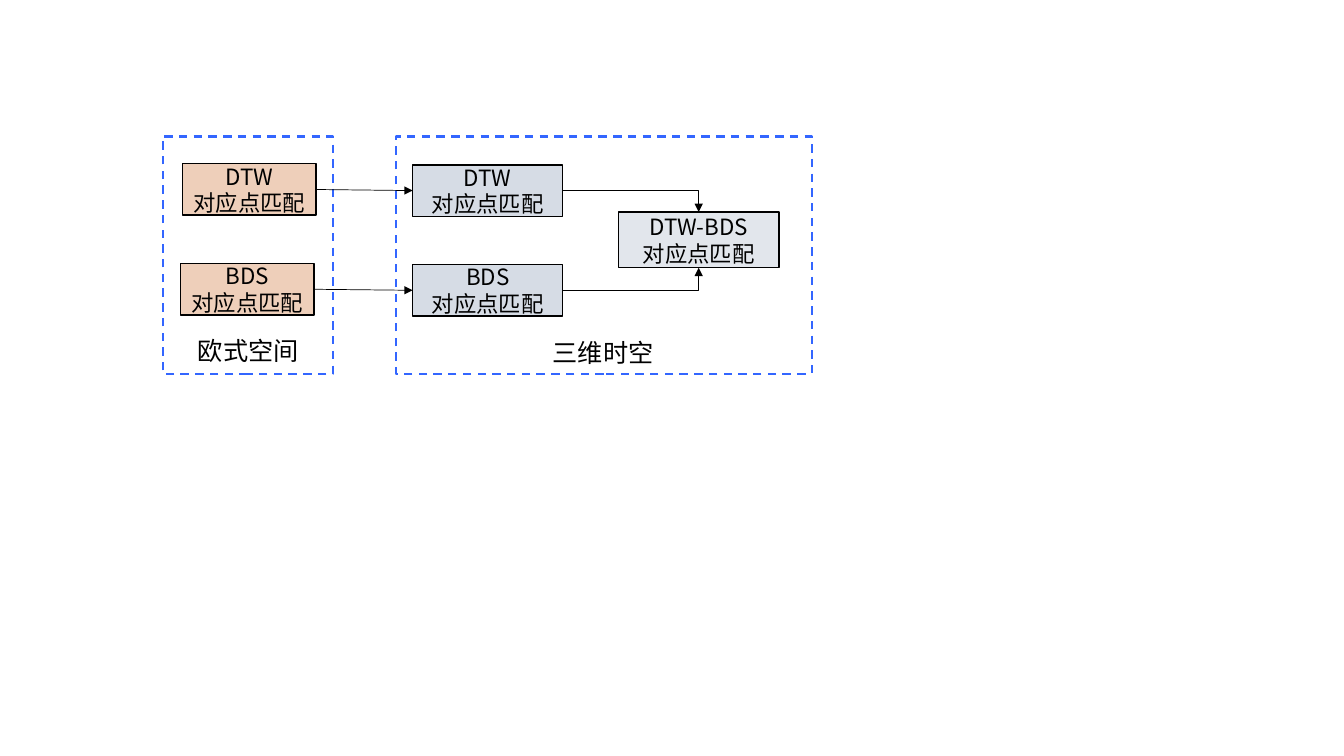
"""Build a slide showing how DTW and BDS point matching merge into DTW-BDS."""
from lxml.etree import SubElement
from pptx import Presentation
from pptx.dml.color import RGBColor
from pptx.enum.dml import MSO_LINE as DASH
from pptx.enum.shapes import MSO_CONNECTOR as LINK, MSO_SHAPE as SHAPE
from pptx.enum.text import MSO_ANCHOR as ANCHOR, PP_ALIGN as ALIGN
from pptx.oxml.ns import qn
from pptx.util import Pt

PX = 9525
FONT = "Noto Sans CJK SC"
TOP, BOTTOM, LEFT, RIGHT = 0, 2, 1, 3


def color(code):
    return RGBColor.from_string(code)


def write(shape, text, size=16, align=ALIGN.CENTER, anchor=ANCHOR.MIDDLE, wrap=True):
    frame = shape.text_frame
    frame.word_wrap = wrap
    frame.vertical_anchor = anchor
    frame.text = text
    for para in frame.paragraphs:
        para.alignment = align
        for span in para.runs:
            span.font.name = FONT
            span.font.size = Pt(size)
            span.font.color.rgb = color("000000")
            SubElement(span.font._element, qn("a:ea"), typeface=FONT)


deck = Presentation()
deck.slide_width, deck.slide_height = 1280 * PX, 720 * PX
page = deck.slides.add_slide(deck.slide_layouts[6])

for left, width in [(155, 162), (377, 396)]:
    space = page.shapes.add_shape(SHAPE.RECTANGLE, left * PX, 130 * PX, width * PX, 226 * PX)
    space.shadow.inherit = False
    space.fill.background()
    space.line.color.rgb = color("3366FF")
    space.line.width = Pt(1.5)
    space.line.dash_style = DASH.DASH

boxes = {}
for key, name, left, top, width, height, fill in [
    ("plane DTW", "DTW", 174, 156, 127, 49, "EECFBA"),
    ("plane BDS", "BDS", 172, 251, 127, 49, "EECFBA"),
    ("time DTW", "DTW", 393, 157, 143, 49, "D6DCE5"),
    ("time BDS", "BDS", 393, 252, 143, 49, "D6DCE5"),
    ("merged", "DTW-BDS", 589, 202, 153, 53, "D6DCE5"),
]:
    box = page.shapes.add_shape(SHAPE.RECTANGLE, left * PX, top * PX, width * PX, height * PX)
    box.shadow.inherit = False
    box.fill.solid()
    box.fill.fore_color.rgb = color(fill)
    box.line.color.rgb = color("000000")
    box.line.width = Pt(1)
    write(box, f"{name}\n对应点匹配")
    boxes[key] = box

merged_fill = boxes["merged"]._element.spPr.find(qn("a:solidFill"))
SubElement(merged_fill[0], qn("a:alpha"), val="70000")

for start, end, side, kind, preset in [
    ("plane DTW", "time DTW", LEFT, LINK.STRAIGHT, "line"),
    ("plane BDS", "time BDS", LEFT, LINK.STRAIGHT, "line"),
    ("time DTW", "merged", TOP, LINK.ELBOW, "bentConnector2"),
    ("time BDS", "merged", BOTTOM, LINK.ELBOW, "bentConnector2"),
]:
    arrow = page.shapes.add_connector(kind, 0, 0, 0, 0)
    arrow.begin_connect(boxes[start], RIGHT)
    arrow.end_connect(boxes[end], side)
    arrow.line.color.rgb = color("000000")
    arrow.line.width = Pt(0.5)
    properties = arrow._element.spPr
    properties.find(qn("a:prstGeom")).set("prst", preset)
    SubElement(properties.find(qn("a:ln")), qn("a:tailEnd"), type="triangle")
    SubElement(properties, qn("a:effectLst"))

for text, left, top in [("欧式空间", 179, 315), ("三维时空", 517, 317)]:
    label = page.shapes.add_textbox(left * PX, top * PX, 116 * PX, 38 * PX)
    write(label, text, size=18, align=ALIGN.LEFT, anchor=ANCHOR.TOP, wrap=False)

deck.save("out.pptx")
